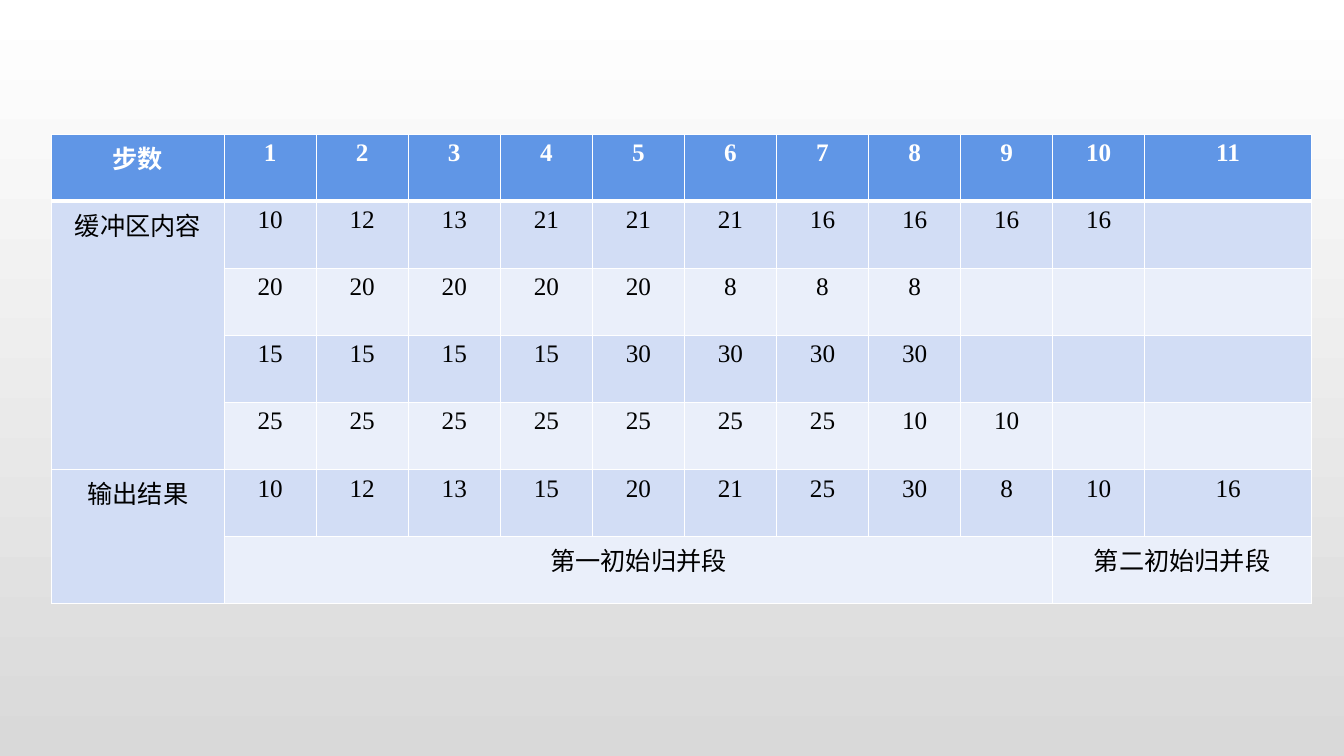
from dataclasses import dataclass

from lxml import etree
from pptx import Presentation
from pptx import util as u
from pptx.dml import color
from pptx.enum import text
from pptx.oxml import ns


@dataclass(frozen=True)
class Theme:
    """Colours, font and type size of the slide."""
    font: str = "Times New Roman"
    size: int = 18
    ink: str = "000000"
    white: str = "FFFFFF"
    background_end: str = "D9D9D9"
    header: str = "6096E6"
    bands: tuple = ("D2DDF5", "EAEFFA")
    rule: int = 1
    header_rule: int = 3


def write(cell, content, *, font, size, ink, bold=False):
    """Write centred, formatted text into a cell."""
    paragraph = cell.text_frame.paragraphs[0]
    paragraph.alignment = text.PP_ALIGN.CENTER
    run = paragraph.add_run()
    run.text = content
    run.font.name, run.font.size, run.font.bold = font, u.Pt(size), bold
    run.font.color.rgb = color.RGBColor.from_string(ink)


def add_border(cell, side, width, ink):
    """Draw one solid border of a cell; side is L, R, T or B."""
    line = etree.SubElement(cell._tc.get_or_add_tcPr(), ns.qn(f"a:ln{side}"), w=str(u.Pt(width)))
    fill = etree.SubElement(line, ns.qn("a:solidFill"))
    etree.SubElement(fill, ns.qn("a:srgbClr"), val=ink)


class SlideBuilder:
    """Holds the theme and the current slide."""

    def __init__(self, slide, theme):
        """Keep the slide and its theme."""
        self.slide, self.theme = slide, theme

    def background(self):
        """Fill the background with a gradient from top to bottom."""
        fill = self.slide.background.fill
        fill.gradient()
        fill.gradient_angle = 270
        for stop, ink in zip(fill.gradient_stops, (self.theme.white, self.theme.background_end)):
            stop.color.rgb = color.RGBColor.from_string(ink)

    def style_cell(self, cell, row, band):
        """Set the borders and fill of a cell."""
        theme = self.theme
        widths = dict.fromkeys("LRTB", theme.rule)
        if row == 0:
            widths["B"] = theme.header_rule
        elif row == 1:
            widths["T"] = theme.header_rule
        for side, width in widths.items():
            add_border(cell, side, width, theme.white)
        cell.fill.solid()
        cell.fill.fore_color.rgb = color.RGBColor.from_string(band)

    def table(self, rows, merges, left, top, column_widths, row_height):
        """Add a banded table with a header row and merged cells."""
        theme = self.theme
        frame = self.slide.shapes.add_table(len(rows), len(column_widths), left, top,
                                            sum(column_widths), row_height * len(rows))
        table = frame.table
        for column, width in zip(table.columns, column_widths):
            column.width = width
        for index, values in enumerate(rows):
            table.rows[index].height = row_height
            is_header = index == 0
            band = theme.header if is_header else theme.bands[(index - 1) % 2]
            ink = theme.white if is_header else theme.ink
            for position in range(len(column_widths)):
                cell = table.cell(index, position)
                self.style_cell(cell, index, band)
                if position < len(values) and values[position] != "":
                    write(cell, str(values[position]), font=theme.font, size=theme.size,
                          ink=ink, bold=is_header)
        for first, last in merges:
            table.cell(*first).merge(table.cell(*last))


STEPS = [
    ["步数", *range(1, 12)],
    ["缓冲区内容", 10, 12, 13, 21, 21, 21, 16, 16, 16, 16],
    ["", 20, 20, 20, 20, 20, 8, 8, 8],
    ["", 15, 15, 15, 15, 30, 30, 30, 30],
    ["", 25, 25, 25, 25, 25, 25, 25, 10, 10],
    ["输出结果", 10, 12, 13, 15, 20, 21, 25, 30, 8, 10, 16],
    ["", "第一初始归并段", *[""] * 8, "第二初始归并段"],
]
MERGES = [((1, 0), (4, 0)), ((5, 0), (6, 0)), ((6, 1), (6, 9)), ((6, 10), (6, 11))]


def main():
    """Build and save the presentation."""
    presentation = Presentation()
    presentation.slide_width, presentation.slide_height = u.Cm(33.87), u.Cm(19.05)
    slide = presentation.slides.add_slide(presentation.slide_layouts[6])
    builder = SlideBuilder(slide, Theme())
    builder.background()
    column_widths = [u.Cm(4.35), *[u.Cm(2.32)] * 10, u.Cm(4.2)]
    builder.table(STEPS, MERGES, u.Cm(1.3), u.Cm(3.38), column_widths, u.Cm(1.69))
    presentation.save("out.pptx")


main()
